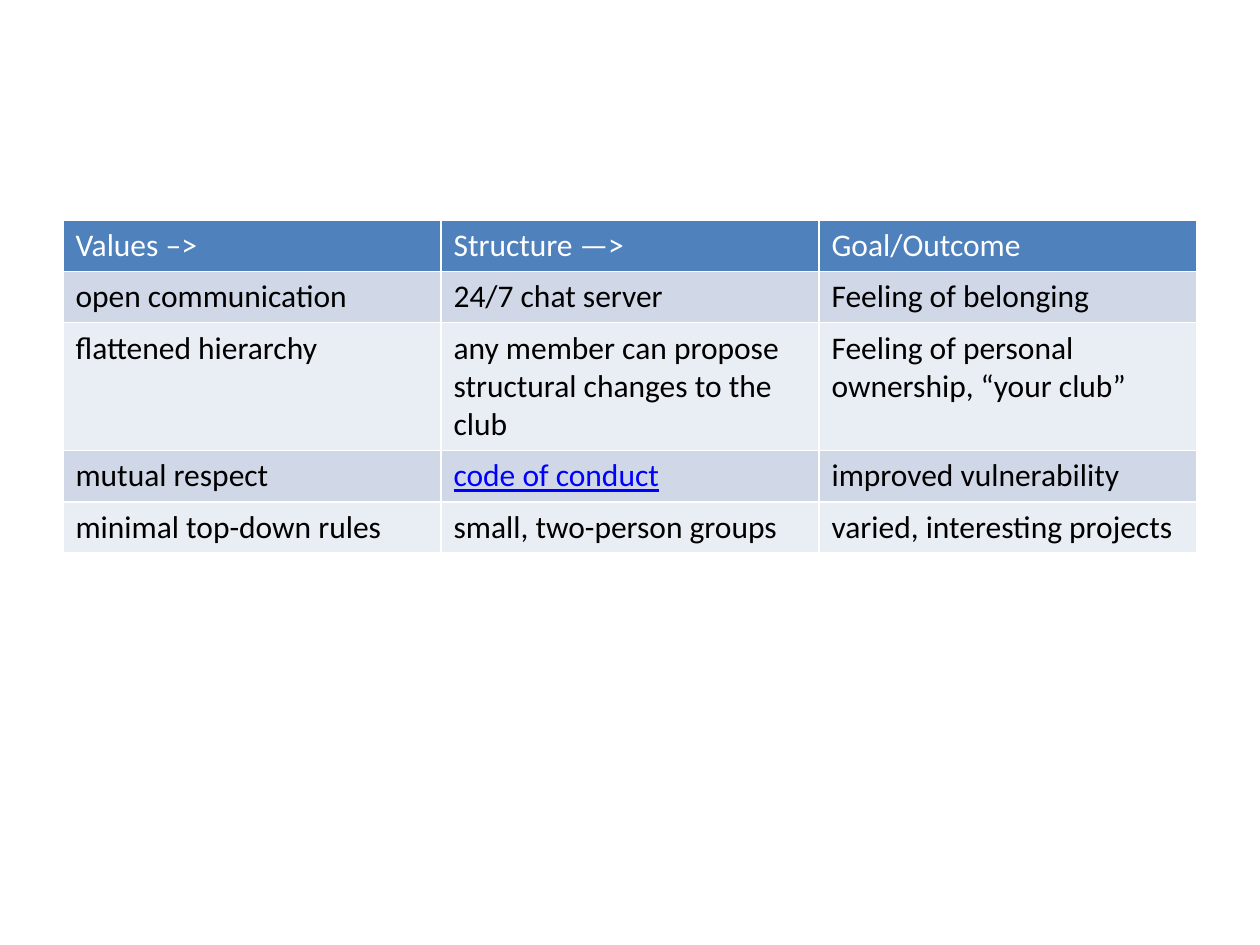
from dataclasses import dataclass

from lxml.etree import SubElement
from pptx import Presentation
from pptx.dml.color import RGBColor
from pptx.oxml.ns import qn
from pptx.util import Inches, Pt


@dataclass(frozen=True)
class Theme:
    font: str = "Calibri"
    size: int = 18
    border_width: int = 1
    header_fill: str = "4F81BD"
    bands: tuple = ("D0D8E8", "E9EDF4")
    header_text: str = "FFFFFF"
    body_text: str = "000000"
    link_text: str = "0000FF"
    border: str = "FFFFFF"


THEME = Theme()
LINK_LABEL = "code of conduct"
CLUB_ROWS = [
    ("Values –>", "Structure —>", "Goal/Outcome"),
    ("open communication", "24/7 chat server", "Feeling of belonging"),
    (
        "flattened hierarchy",
        "any member can propose structural changes to the club",
        "Feeling of personal ownership, “your club”",
    ),
    ("mutual respect", LINK_LABEL, "improved vulnerability"),
    ("minimal top-down rules", "small, two-person groups", "varied, interesting projects"),
]
ROW_HEIGHTS = [0.4, 0.4, 1, 0.4, 0.4]


def add_borders(cell):
    properties = cell._tc.get_or_add_tcPr()
    for side in ("lnL", "lnR", "lnT", "lnB"):
        line = SubElement(properties, qn(f"a:{side}"), w=str(Pt(THEME.border_width)))
        fill = SubElement(line, qn("a:solidFill"))
        SubElement(fill, qn("a:srgbClr"), val=THEME.border)


def fill_cell(cell, text, fill, color, underline=False):
    add_borders(cell)
    cell.fill.solid()
    cell.fill.fore_color.rgb = RGBColor.from_string(fill)
    span = cell.text_frame.paragraphs[0].add_run()
    span.text = text
    span.font.name = THEME.font
    span.font.size = Pt(THEME.size)
    span.font.bold = False
    span.font.underline = underline
    span.font.color.rgb = RGBColor.from_string(color)


def add_club_table(page):
    frame = page.shapes.add_table(
        len(CLUB_ROWS), len(CLUB_ROWS[0]),
        Inches(0.5), Inches(1.75), Inches(9), Inches(sum(ROW_HEIGHTS)),
    )
    table = frame.table
    for row_index, labels in enumerate(CLUB_ROWS):
        table.rows[row_index].height = Inches(ROW_HEIGHTS[row_index])
        is_header = row_index == 0
        fill = THEME.header_fill if is_header else THEME.bands[(row_index - 1) % 2]
        for column_index, label in enumerate(labels):
            is_link = label == LINK_LABEL
            color = THEME.header_text if is_header else THEME.body_text
            if is_link:
                color = THEME.link_text
            fill_cell(table.cell(row_index, column_index), label, fill, color, is_link)


def main():
    deck = Presentation()
    deck.slide_width = Inches(10)
    deck.slide_height = Inches(7.5)
    page = deck.slides.add_slide(deck.slide_layouts[6])
    add_club_table(page)
    deck.save("out.pptx")


main()
